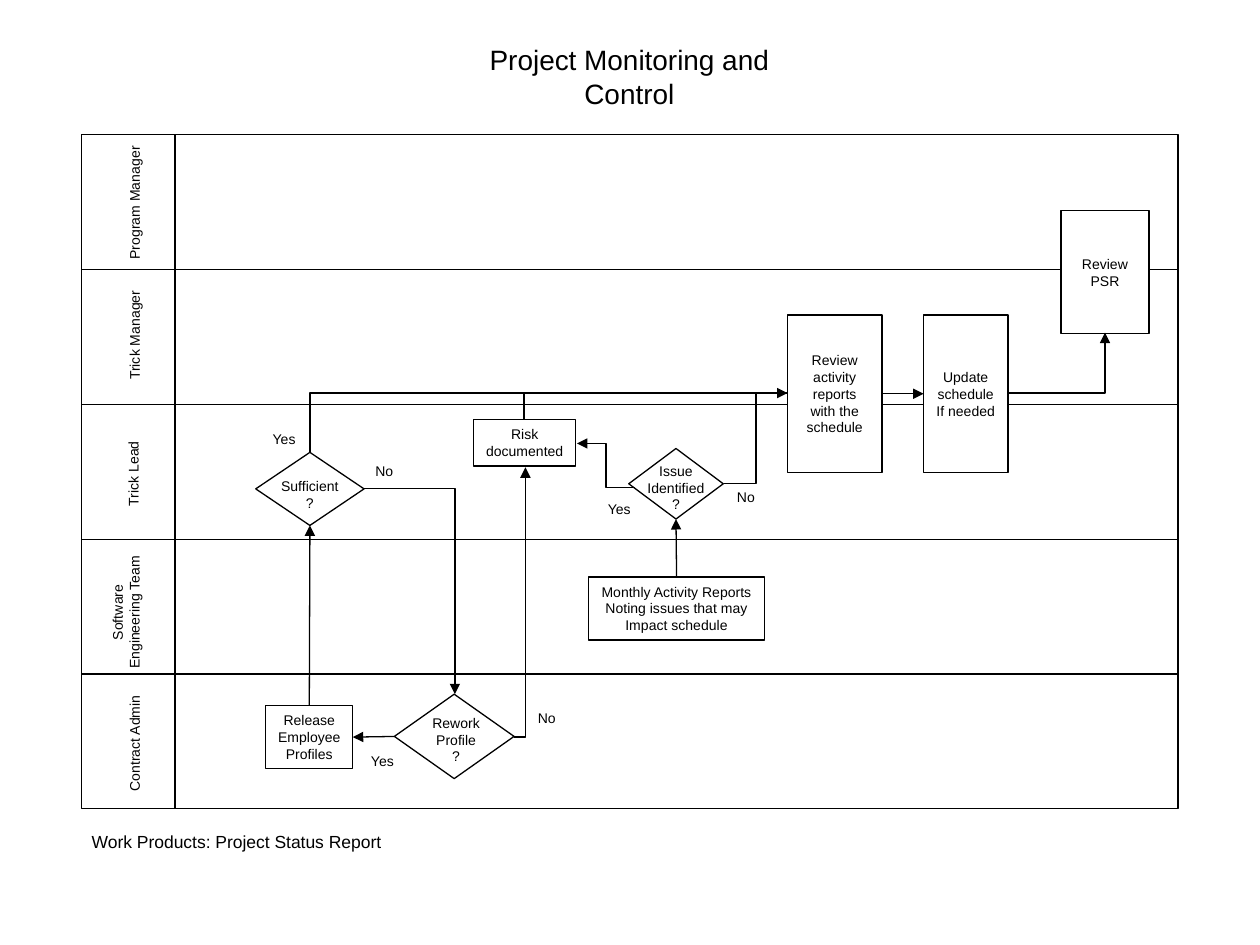
from pptx import Presentation
from pptx.dml.color import RGBColor
from pptx.enum.shapes import MSO_CONNECTOR, MSO_SHAPE
from pptx.enum.text import MSO_ANCHOR, MSO_AUTO_SIZE, PP_ALIGN
from pptx.oxml.ns import qn
from pptx.util import Inches, Pt
from lxml import etree

RECTANGLE, DECISION = MSO_SHAPE.RECTANGLE, MSO_SHAPE.FLOWCHART_DECISION
STRAIGHT, ELBOW = MSO_CONNECTOR.STRAIGHT, MSO_CONNECTOR.ELBOW
TOP, MIDDLE = MSO_ANCHOR.TOP, MSO_ANCHOR.MIDDLE
LEFT, CENTER = PP_ALIGN.LEFT, PP_ALIGN.CENTER
SITES = {"top": 0, "left": 1, "bottom": 2, "right": 3}

THEME = {
    "ink": RGBColor(0, 0, 0),
    "paper": RGBColor(255, 255, 255),
    "font": "Arial",
    "title": Pt(16),
    "note": Pt(10),
    "body": Pt(8),
    "line": Pt(0.75),
}

TITLE = ("Project Monitoring and Control", (3.4, 0.29, 3.19, 0.37))
NOTE = ("Work Products: Project Status Report", (0.63, 6.55, 2.5, 0.27))

# Swimlanes: left, top, width, height of one lane, and the label divider
LANE_LEFT, LANE_TOP, LANE_WIDTH, LANE_HEIGHT = 0.65, 1.07, 8.7, 1.07
DIVIDER_X = 1.39
# Label, centre x, centre y, length, thickness
LANES = [
    ("Program Manager", 1.07, 1.61, 1.1, 0.24),
    ("Trick Manager", 1.07, 2.66, 0.91, 0.24),
    ("Trick Lead", 1.06, 3.76, 0.72, 0.24),
    ("Software\nEngineering Team", 1.0, 4.86, 1.11, 0.37),
    ("Contract Admin", 1.07, 5.9, 0.97, 0.24),
]

# Name: text, place, filled, anchor
STEPS = {
    "reports": ("Monthly Activity Reports\nNoting issues that may\nImpact schedule",
                (4.67, 4.58, 1.4, 0.5), False, TOP),
    "review": ("Review\nactivity\nreports\nwith the\nschedule",
               (6.25, 2.5, 0.75, 1.25), True, MIDDLE),
    "release": ("Release\nEmployee\nProfiles", (2.11, 5.6, 0.69, 0.5), False, MIDDLE),
    "risk": ("Risk\ndocumented", (3.76, 3.33, 0.81, 0.37), False, TOP),
    "update": ("Update\nschedule\nIf needed", (7.33, 2.5, 0.67, 1.25), True, MIDDLE),
    "psr": ("Review\nPSR", (8.42, 1.67, 0.7, 0.98), True, MIDDLE),
}

# Name: text, diamond place, text place
DECISIONS = {
    "sufficient": ("Sufficient\n?", (2.03, 3.59, 0.86, 0.58), (2.13, 3.74, 0.66, 0.37)),
    "rework": ("Rework\nProfile\n?", (3.13, 5.51, 0.95, 0.67), (3.33, 5.62, 0.58, 0.5)),
    "issue": ("Issue\nIdentified\n?", (4.99, 3.56, 0.75, 0.56), (5.04, 3.62, 0.65, 0.5)),
}

ANSWERS = [
    ("Yes", (2.84, 5.92, 0.39, 0.24)),
    ("Yes", (2.06, 3.37, 0.39, 0.24)),
    ("No", (4.17, 5.58, 0.34, 0.24)),
    ("No", (2.88, 3.62, 0.34, 0.24)),
    ("Yes", (4.72, 3.92, 0.39, 0.24)),
    ("No", (5.75, 3.83, 0.34, 0.24)),
]

# From step and side, to step and side
STRAIGHT_FLOWS = [
    ("reports", "top", "issue", "bottom"),
    ("release", "top", "sufficient", "bottom"),
    ("rework", "left", "release", "right"),
    ("review", "right", "update", "left"),
]

# Begin, end, preset, arrowhead; every elbow leaves its begin point sideways
ONE_BEND, TWO_BENDS = "bentConnector2", "bentConnector3"
ELBOW_FLOWS = [
    ((2.89, 3.88), (3.61, 5.51), ONE_BEND, "tailEnd"),
    ((4.08, 5.85), (4.17, 3.71), ONE_BEND, "tailEnd"),
    ((6.25, 3.12), (2.46, 3.59), ONE_BEND, "headEnd"),
    ((6.25, 3.12), (4.16, 3.33), ONE_BEND, None),
    ((5.75, 3.84), (6.25, 3.12), TWO_BENDS, None),
    ((5.04, 3.87), (4.58, 3.52), TWO_BENDS, "tailEnd"),
    ((8.0, 3.12), (8.77, 2.64), ONE_BEND, "tailEnd"),
]


def inches(values):
    return [Inches(value) for value in values]


def write(shape, text, size="body", align=CENTER, anchor=TOP):
    frame = shape.text_frame
    frame.text = text
    frame_format = {
        "word_wrap": False, "auto_size": MSO_AUTO_SIZE.NONE, "vertical_anchor": anchor,
        "margin_left": Inches(0.1), "margin_right": Inches(0.1),
        "margin_top": Inches(0.05), "margin_bottom": Inches(0.05),
    }
    for name, value in frame_format.items():
        setattr(frame, name, value)
    for paragraph in frame.paragraphs:
        paragraph.alignment = align
        for run in paragraph.runs:
            for name, value in {"name": THEME["font"], "size": THEME[size]}.items():
                setattr(run.font, name, value)
            run.font.color.rgb = THEME["ink"]


def add_text(slide, text, place, **text_format):
    box = slide.shapes.add_textbox(*inches(place))
    write(box, text, **text_format)
    return box


def add_outline(slide, kind, place, filled=False):
    shape = slide.shapes.add_shape(kind, *inches(place))
    shape.shadow.inherit = False
    if filled:
        shape.fill.solid()
        shape.fill.fore_color.rgb = THEME["paper"]
    else:
        shape.fill.background()
    shape.line.color.rgb = THEME["ink"]
    shape.line.width = THEME["line"]
    return shape


def add_line(slide, kind, begin, end, arrow=None):
    connector = slide.shapes.add_connector(kind, *inches(begin + end))
    connector.line.color.rgb = THEME["ink"]
    connector.line.width = THEME["line"]
    properties = connector._element.spPr
    if arrow:
        etree.SubElement(properties.find(qn("a:ln")), qn("a:" + arrow), type="triangle")
    etree.SubElement(properties, qn("a:effectLst"))
    return connector


def main():
    presentation = Presentation()
    presentation.slide_width, presentation.slide_height = Inches(10), Inches(7.5)
    slide = presentation.slides.add_slide(presentation.slide_layouts[5])

    # Title and note
    title = slide.shapes.title
    text, place = TITLE
    title.left, title.top, title.width, title.height = inches(place)
    write(title, text, size="title")
    add_text(slide, *NOTE, size="note", align=LEFT)

    # Swimlanes with turned labels
    bottom = LANE_TOP + len(LANES) * LANE_HEIGHT
    for index, (text, x, y, length, thickness) in enumerate(LANES):
        top = LANE_TOP + index * LANE_HEIGHT
        add_outline(slide, RECTANGLE, (LANE_LEFT, top, LANE_WIDTH, LANE_HEIGHT))
        place = (x - length / 2, y - thickness / 2, length, thickness)
        add_text(slide, text, place).rotation = 270
    add_line(slide, STRAIGHT, (DIVIDER_X, LANE_TOP), (DIVIDER_X, bottom))

    # Steps and decisions
    nodes = {}
    for name, (text, place, filled, anchor) in STEPS.items():
        nodes[name] = add_outline(slide, RECTANGLE, place, filled)
        write(nodes[name], text, anchor=anchor)
    for name, (text, place, text_place) in DECISIONS.items():
        nodes[name] = add_outline(slide, DECISION, place, filled=True)
        add_text(slide, text, text_place)
    for text, place in ANSWERS:
        add_text(slide, text, place)

    # Flows
    for source, source_side, target, target_side in STRAIGHT_FLOWS:
        connector = add_line(slide, STRAIGHT, (0, 0), (1, 1), "tailEnd")
        connector.begin_connect(nodes[source], SITES[source_side])
        connector.end_connect(nodes[target], SITES[target_side])
    for begin, end, preset, arrow in ELBOW_FLOWS:
        connector = add_line(slide, ELBOW, begin, end, arrow)
        connector._element.spPr.find(qn("a:prstGeom")).set("prst", preset)

    presentation.save("out.pptx")


if __name__ == "__main__":
    main()
